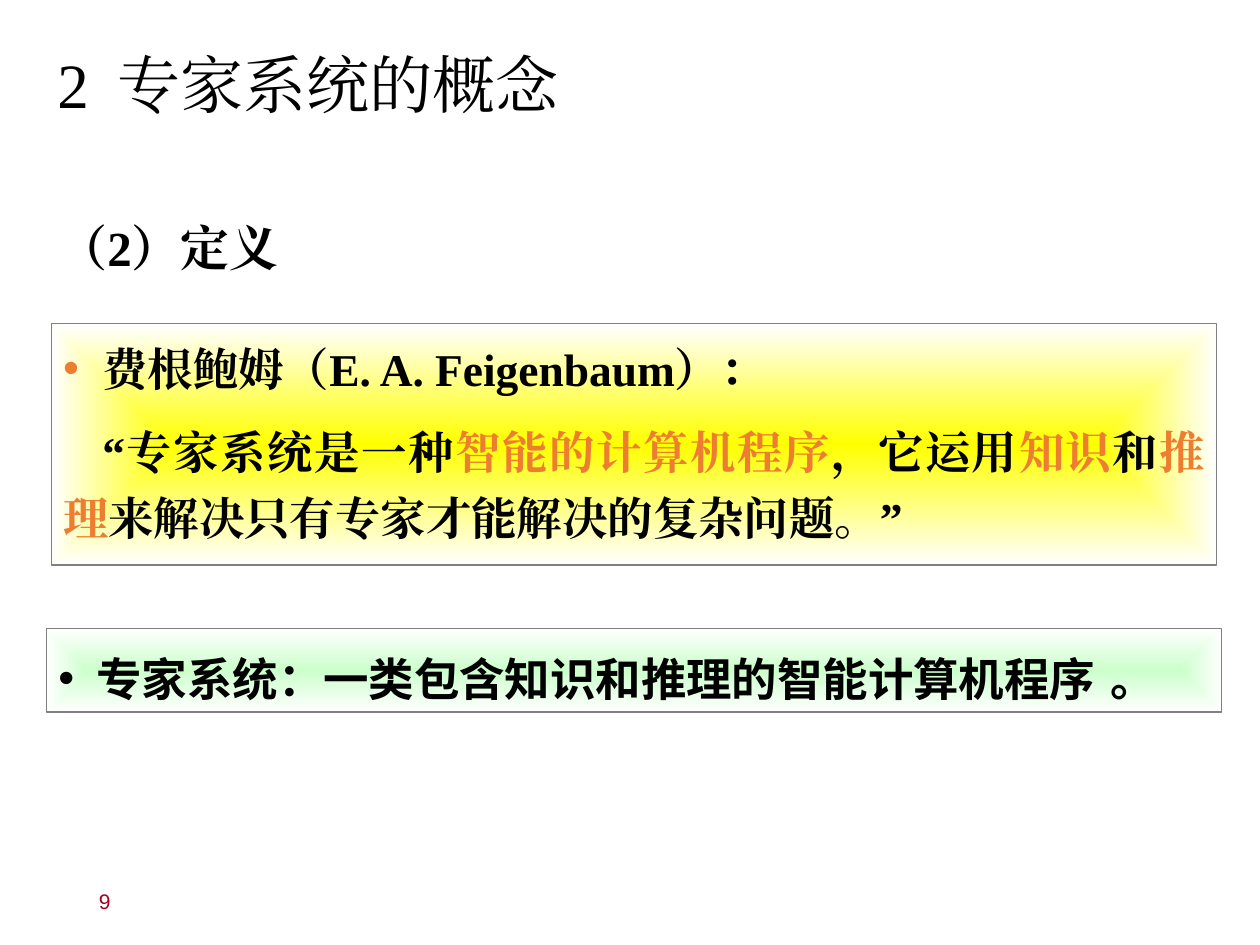
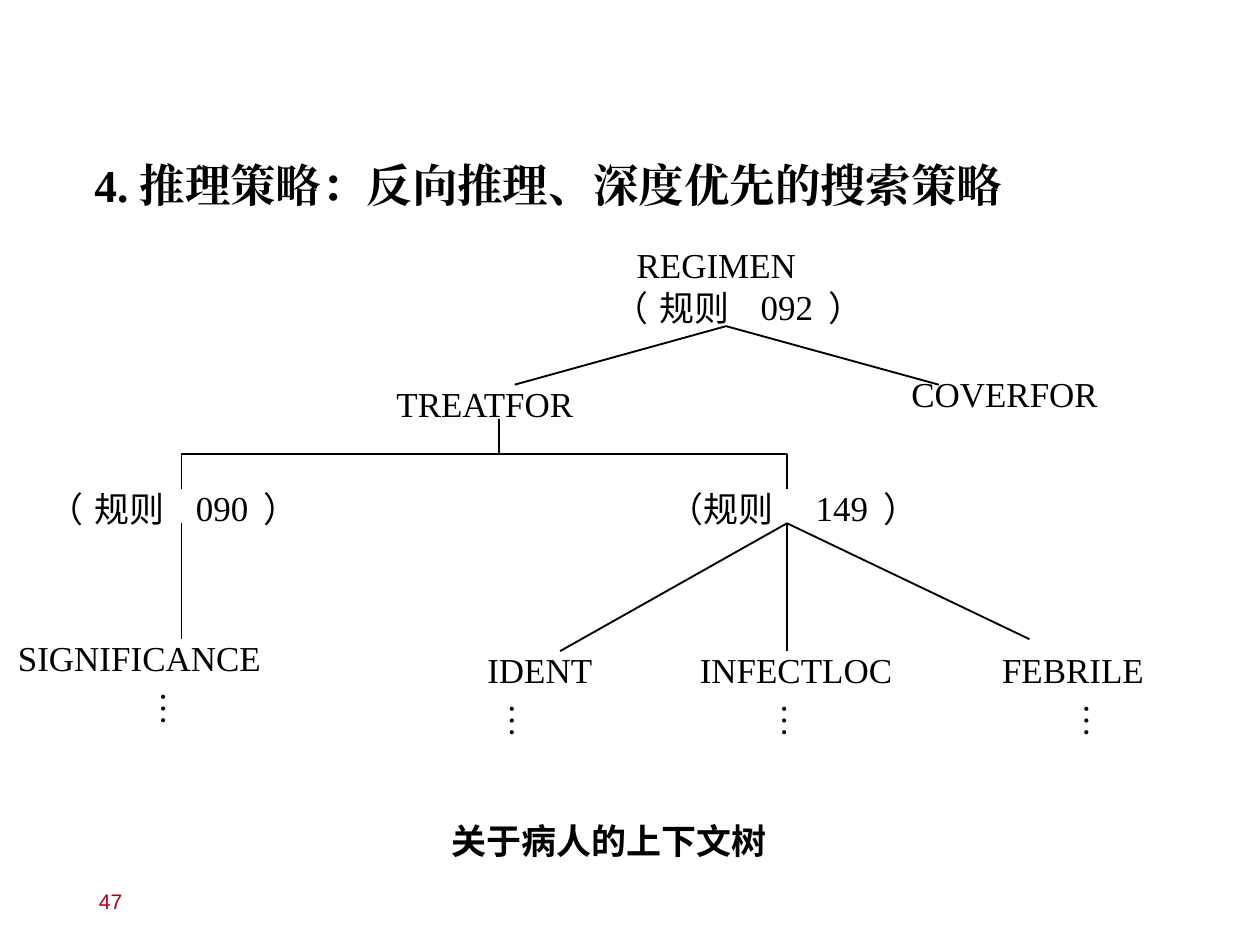
from dataclasses import dataclass

from lxml import etree
from pptx import Presentation
from pptx import util as u
from pptx.dml.color import RGBColor
from pptx.enum import shapes, text
from pptx.oxml import ns, parse_xml

Inches, Pt = u.Inches, u.Pt


@dataclass(frozen=True)
class Theme:
    ink: str = "000000"
    accent: str = "ED7D31"
    page: str = "A50021"
    border: str = "808080"
    yellow: str = "FFFF00"
    green: str = "CCFFCC"
    white: str = "FFFFFF"
    serif: str = "Times New Roman"
    sans: str = "Arial"
    wide: str = "DejaVu Sans"
    chinese: str = "Noto Sans CJK SC"
    title_size: float = 38
    heading_size: float = 29.5
    body_size: float = 27.4
    label_size: float = 21.1
    page_size: float = 12.7
    line_width: float = 1.13
    border_width: float = 0.75


THEME = Theme()


# Shared text helpers
def add_run(paragraph, words, size, face=THEME.serif, color=THEME.ink, bold=False):
    run = paragraph.add_run()
    run.text = words
    run.font.size = Pt(size)
    run.font.name = face
    run.font.bold = bold
    run.font.color.rgb = RGBColor.from_string(color)
    east_asian = etree.SubElement(run.font._element, ns.qn("a:ea"))
    east_asian.set("typeface", face)


def set_paragraph(paragraph, spacing, before=0, margin=0.0, indent=0.0,
                  bullet_color=None, tab=None, align=text.PP_ALIGN.LEFT):
    props = paragraph._p.get_or_add_pPr()
    props.set("marL", str(Inches(margin)))
    props.set("indent", str(Inches(indent)))
    if bullet_color:
        color = etree.SubElement(props, ns.qn("a:buClr"))
        etree.SubElement(color, ns.qn("a:srgbClr")).set("val", bullet_color)
        etree.SubElement(props, ns.qn("a:buFont")).set("typeface", THEME.sans)
        etree.SubElement(props, ns.qn("a:buChar")).set("char", "•")
    else:
        etree.SubElement(props, ns.qn("a:buNone"))
    if tab:
        stops = etree.SubElement(props, ns.qn("a:tabLst"))
        stop = etree.SubElement(stops, ns.qn("a:tab"))
        stop.set("pos", str(Inches(tab)))
        stop.set("algn", "l")
    paragraph.line_spacing = spacing
    paragraph.space_before = Pt(before)
    paragraph.alignment = align


def place(placeholder, box, anchor):
    placeholder.left, placeholder.top, placeholder.width, placeholder.height = map(Inches, box)
    frame = placeholder.text_frame
    frame.word_wrap = True
    frame.auto_size = text.MSO_AUTO_SIZE.NONE
    frame.vertical_anchor = anchor
    return frame.paragraphs[0]


def add_page_number(slide, number):
    box = slide.shapes.add_textbox(*map(Inches, (0.73, 7.33, 2.37, 0.42)))
    frame = box.text_frame
    frame.word_wrap = True
    frame.vertical_anchor = text.MSO_ANCHOR.MIDDLE
    add_run(frame.paragraphs[0], number, THEME.page_size, THEME.sans, THEME.page)


def new_slide(deck, number):
    slide = deck.slides.add_slide(deck.slide_layouts[1])
    add_page_number(slide, number)
    return slide


# Definition slide
def add_panel(slide, box, glow):
    panel = slide.shapes.add_shape(shapes.MSO_SHAPE.RECTANGLE, *map(Inches, box))
    panel.shadow.inherit = False
    panel.line.color.rgb = RGBColor.from_string(THEME.border)
    panel.line.width = Pt(THEME.border_width)
    panel.fill.gradient()
    old_fill = panel._element.spPr.find(ns.qn("a:gradFill"))
    new_fill = parse_xml(
        f'<a:gradFill {ns.nsdecls("a")} rotWithShape="1"><a:gsLst>'
        f'<a:gs pos="0"><a:srgbClr val="{glow}"/></a:gs>'
        f'<a:gs pos="100000"><a:srgbClr val="{THEME.white}"/></a:gs></a:gsLst>'
        '<a:path path="shape"><a:fillToRect l="50000" t="50000" r="50000" b="50000"/>'
        '</a:path></a:gradFill>')
    old_fill.getparent().replace(old_fill, new_fill)
    panel.text_frame.word_wrap = True
    panel.text_frame.vertical_anchor = text.MSO_ANCHOR.TOP
    return panel.text_frame


def add_quotation(slide, box):
    frame = add_panel(slide, box, THEME.yellow)
    author = frame.paragraphs[0]
    justify = text.PP_ALIGN.JUSTIFY
    set_paragraph(author, 1.2, margin=0.33, indent=-0.33,
                  bullet_color=THEME.accent, align=justify)
    add_run(author, "费根鲍姆（E. A. Feigenbaum）：", THEME.body_size, bold=True)
    quote = frame.add_paragraph()
    set_paragraph(quote, 1.2, before=11, indent=0.33, align=justify)
    for words, color in (("“专家系统是一种", THEME.ink), ("智能的计算机程序", THEME.accent),
                         ("，它运用", THEME.ink), ("知识", THEME.accent),
                         ("和", THEME.ink), ("推理", THEME.accent),
                         ("来解决只有专家才能解决的复杂问题。”", THEME.ink)):
        add_run(quote, words, THEME.body_size, color=color, bold=True)


def add_summary(slide, box):
    summary = add_panel(slide, box, THEME.green).paragraphs[0]
    set_paragraph(summary, 1.3, margin=0.32, indent=-0.32, bullet_color=THEME.ink)
    add_run(summary, "专家系统：一类包含知识和推理的智能计算机程序 。",
            THEME.body_size, THEME.wide, bold=True)


def build_definition(deck):
    slide = new_slide(deck, "9")
    title = place(slide.shapes.title, (0.38, -0.03, 9.1, 1.53), text.MSO_ANCHOR.MIDDLE)
    set_paragraph(title, 0.9, tab=0.65)
    add_run(title, "2\t专家系统的概念", THEME.title_size)
    heading = place(slide.placeholders[1], (0.39, 1.83, 9.76, 4.66), text.MSO_ANCHOR.TOP)
    set_paragraph(heading, 0.9, align=text.PP_ALIGN.JUSTIFY)
    add_run(heading, "（2）定义", THEME.heading_size, bold=True)
    add_quotation(slide, (0.43, 2.71, 9.76, 2.02))
    add_summary(slide, (0.39, 5.26, 9.84, 0.7))


# Context tree slide
def add_label(slide, words, left, top, width, face=THEME.serif, bold=False, turn=0):
    label = slide.shapes.add_textbox(*map(Inches, (left, top, width, 0.35)))
    label.rotation = turn
    frame = label.text_frame
    frame.margin_left = frame.margin_right = frame.margin_top = frame.margin_bottom = 0
    frame.word_wrap = False
    add_run(frame.paragraphs[0], words, THEME.label_size, face, bold=bold)


def add_rule(slide, left, top, number, joined=False):
    opening = [("（规则", 0, 0.89)] if joined else [("（", 0, 0.3), ("规则", 0.38, 0.59)]
    for words, offset, width in opening + [("）", 1.8, 0.3)]:
        add_label(slide, words, left + offset, top, width, THEME.chinese)
    add_label(slide, number, left + 1.23, top - 0.01, 0.44)


def style_line(line):
    line.color.rgb = RGBColor.from_string(THEME.ink)
    line.width = Pt(THEME.line_width)


def add_branches(slide, parent, children):
    for child in children:
        branch = slide.shapes.add_connector(
            shapes.MSO_CONNECTOR.STRAIGHT, *map(Inches, parent + child))
        style_line(branch.line)
        etree.SubElement(branch._element.spPr, ns.qn("a:effectLst"))


def add_bracket(slide, left, top, width, drop):
    right, bottom = left + width, top + drop
    builder = slide.shapes.build_freeform(Inches(left), Inches(bottom))
    corners = ((left, top), (right, top), (right, bottom))
    builder.add_line_segments([(Inches(x), Inches(y)) for x, y in corners], close=False)
    bracket = builder.convert_to_shape()
    bracket.shadow.inherit = False
    bracket.fill.background()
    style_line(bracket.line)


def add_context_tree(slide, left, top):
    # Goals
    for words, x, y, width in (("REGIMEN", 5.18, 0, 1.35), ("TREATFOR", 3.17, 1.16, 1.5),
                               ("COVERFOR", 7.48, 1.08, 1.58)):
        add_label(slide, words, left + x, top + y, width)

    # Rules
    add_rule(slide, left + 4.99, top + 0.36, "092")
    add_rule(slide, left + 0.26, top + 2.04, "090")
    add_rule(slide, left + 5.45, top + 2.04, "149", joined=True)

    # Leaves, each with its continuation dots
    for words, x, y, width, dots in (("SIGNIFICANCE", 0, 3.29, 2.06, 1.17),
                                     ("IDENT", 3.93, 3.39, 0.89, 4.09),
                                     ("INFECTLOC", 5.71, 3.39, 1.63, 6.37),
                                     ("FEBRILE", 8.24, 3.39, 1.2, 8.9)):
        add_label(slide, words, left + x, top + y, width)
        add_label(slide, "…", left + dots, top + y + 0.43, 0.3, turn=90)

    # Branches
    for parent, children in (((5.93, 0.69), ((4.16, 1.18), (7.71, 1.18))),
                             ((4.03, 1.47), ((4.03, 1.76),)),
                             ((1.37, 2.34), ((1.37, 3.31),)),
                             ((6.44, 2.34), ((4.54, 3.41), (6.44, 3.41), (8.47, 3.31)))):
        add_branches(slide, (left + parent[0], top + parent[1]),
                     [(left + x, top + y) for x, y in children])
    add_bracket(slide, left + 1.37, top + 1.76, 5.07, 0.29)


def build_strategy(deck):
    slide = new_slide(deck, "47")
    title = slide.shapes.title._element
    title.getparent().remove(title)
    heading = place(slide.placeholders[1], (0.69, 1.32, 9.1, 5.02), text.MSO_ANCHOR.TOP)
    set_paragraph(heading, 0.9, margin=0.26, indent=-0.26)
    add_run(heading, "4. 推理策略：反向推理、深度优先的搜索策略", THEME.body_size, bold=True)
    add_context_tree(slide, 0.15, 2.04)
    add_label(slide, "关于病人的上下文树", 3.78, 6.86, 2.99, THEME.chinese, bold=True)


def main():
    deck = Presentation()
    deck.slide_width, deck.slide_height = Inches(10.55), Inches(7.91)
    build_definition(deck)
    build_strategy(deck)
    deck.save("out.pptx")


if __name__ == "__main__":
    main()
